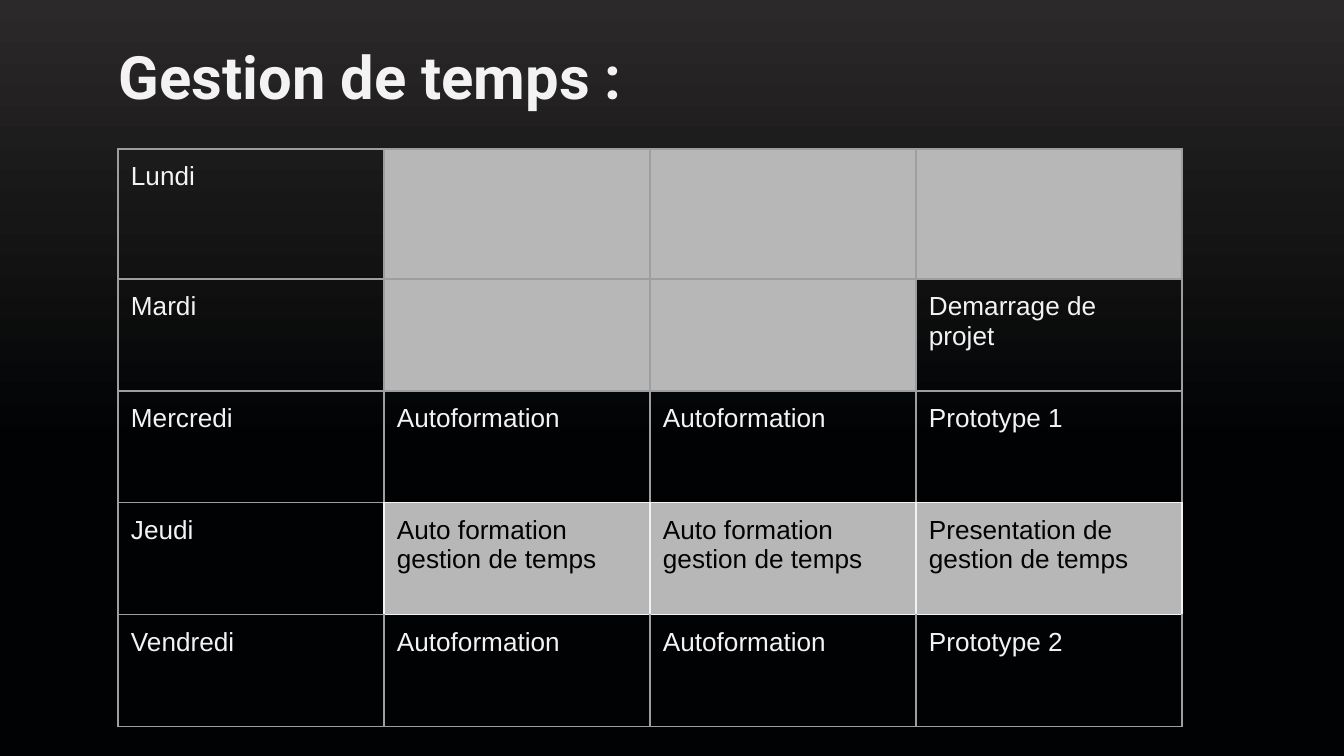
from lxml import etree
from pptx import Presentation
from pptx.dml.color import RGBColor
from pptx.enum.text import MSO_ANCHOR
from pptx.oxml.ns import qn
from pptx.util import Emu, Pt

TOP = MSO_ANCHOR.TOP
SCALE = 914400 / 134.4
LIGHT, DARK, GREY, LINE = "F3F3F3", "010203", "B7B7B7", "9E9E9E"
SIDES = {"lnL": (0, -1), "lnR": (0, 1), "lnT": (-1, 0), "lnB": (1, 0)}

ROWS = [
    ["Lundi", "", "", ""],
    ["Mardi", "", "", "Demarrage de projet"],
    ["Mercredi", "Autoformation", "Autoformation", "Prototype 1"],
    ["Jeudi", "Auto formation gestion de temps",
     "Auto formation gestion de temps", "Presentation de gestion de temps"],
    ["Vendredi", "Autoformation", "Autoformation", "Prototype 2"],
]
ROW_HEIGHTS = [130, 112, 112, 112, 112]
COL_WIDTH = 266
HIGHLIGHTED = {(3, 1), (3, 2), (3, 3)}


def px(n):
    return Emu(round(n * SCALE))


def rgb(color):
    return RGBColor.from_string(color)


class Deck:
    inset = 13

    def __init__(self, prs):
        self.s = prs.slides.add_slide(prs.slide_layouts[6])

    def background(self, start, end, end_position):
        fill = self.s.background.fill
        fill.gradient()
        fill.gradient_angle = 270
        for stop, color, position in zip(fill.gradient_stops, (start, end), (0, end_position)):
            stop.color.rgb = rgb(color)
            stop.position = position

    def margins(self, box):
        box.margin_left = box.margin_right = px(self.inset)
        box.margin_top = box.margin_bottom = px(self.inset)
        box.vertical_anchor = TOP

    def run(self, tf, text, size, font, color, bold=False):
        r = tf.paragraphs[0].add_run()
        r.text = text
        r.font.size, r.font.name, r.font.bold = Pt(size), font, bold
        r.font.color.rgb = rgb(color)

    def title(self, text, x, y, w, h):
        tf = self.s.shapes.add_textbox(px(x), px(y), px(w), px(h)).text_frame
        tf.word_wrap = True
        self.margins(tf)
        self.run(tf, text, 32, "Roboto", LIGHT, True)

    def border(self, cell, side, color):
        ln = etree.SubElement(cell._tc.get_or_add_tcPr(), qn("a:" + side), w=str(Pt(0.75)))
        fill = etree.SubElement(ln, qn("a:solidFill"))
        etree.SubElement(fill, qn("a:srgbClr"), val=color)

    def cell(self, cell, row, col, text):
        self.margins(cell)
        highlighted = (row, col) in HIGHLIGHTED
        for side, (dr, dc) in SIDES.items():
            bright = highlighted or (row + dr, col + dc) in HIGHLIGHTED
            self.border(cell, side, LIGHT if bright else LINE)
        if highlighted or not text:
            cell.fill.solid()
            cell.fill.fore_color.rgb = rgb(GREY)
        else:
            cell.fill.background()
        if text:
            self.run(cell.text_frame, text, 14, "Arial", DARK if highlighted else LIGHT)

    def table(self, rows, x, y, col_width, heights):
        cols = len(rows[0])
        table = self.s.shapes.add_table(len(rows), cols, px(x), px(y),
                                        px(cols * col_width), px(sum(heights))).table
        table.first_row = table.horz_banding = False
        for column in table.columns:
            column.width = px(col_width)
        for i, (texts, height) in enumerate(zip(rows, heights)):
            table.rows[i].height = px(height)
            for j, text in enumerate(texts):
                self.cell(table.cell(i, j), i, j, text)


def main():
    prs = Presentation()
    prs.slide_width, prs.slide_height = px(1344), px(756)
    deck = Deck(prs)
    deck.background("2B2929", DARK, 0.59)
    deck.title("Gestion de temps :", 106, 27, 1133, 85)
    deck.table(ROWS, 118, 149, COL_WIDTH, ROW_HEIGHTS)
    prs.save("out.pptx")


if __name__ == "__main__":
    main()
